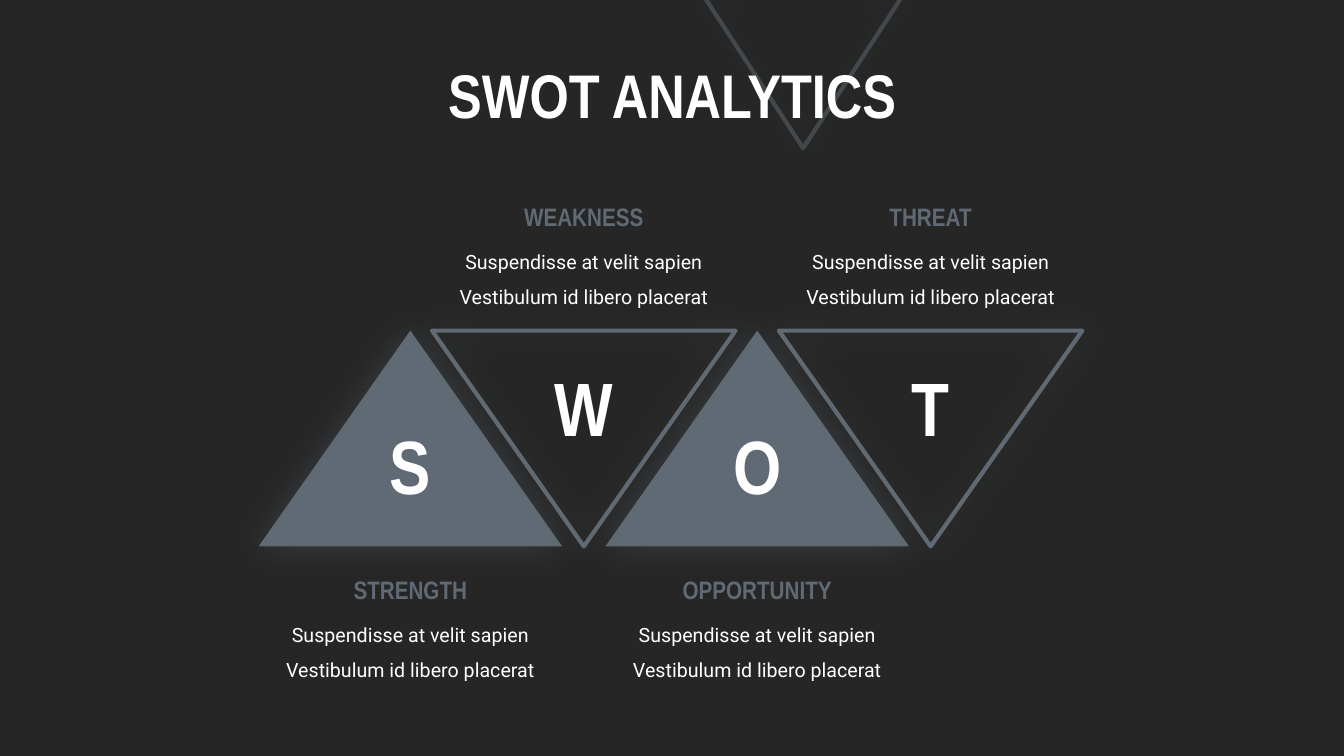
"""Build the SWOT analytics slide with four interlocking triangles."""
from dataclasses import dataclass

from lxml.etree import SubElement
from pptx import Presentation
from pptx.dml.color import RGBColor
from pptx.enum.shapes import MSO_SHAPE
from pptx.enum.text import MSO_ANCHOR, MSO_AUTO_SIZE, PP_ALIGN
from pptx.oxml.ns import qn
from pptx.util import Inches, Pt


@dataclass(frozen=True)
class Theme:
    background: RGBColor = RGBColor(0x26, 0x26, 0x26)
    slate: RGBColor = RGBColor(0x60, 0x6A, 0x74)
    white: RGBColor = RGBColor(0xFF, 0xFF, 0xFF)
    display_font: str = "Arial Narrow"
    body_font: str = "Roboto"
    title_size: int = 44
    letter_size: int = 54
    heading_size: int = 18
    body_size: int = 14
    outline: int = 3


THEME = Theme()


def add_triangle(left, top, width, height, filled):
    triangle = slide.shapes.add_shape(
        MSO_SHAPE.ISOSCELES_TRIANGLE,
        Inches(left), Inches(top), Inches(width), Inches(height))
    if filled:
        triangle.fill.solid()
        triangle.fill.fore_color.rgb = THEME.slate
        triangle.line.fill.background()
    else:
        triangle.rotation = 180
        triangle.fill.background()
        triangle.line.color.rgb = THEME.slate
        triangle.line.width = Pt(THEME.outline)
    triangle.shadow.inherit = False
    effects = triangle._element.spPr.find(qn("a:effectLst"))
    glow = SubElement(effects, qn("a:outerShdw"), blurRad=str(Pt(25)),
                      dist="0", dir="0", algn="ctr", rotWithShape="0")
    glow_color = SubElement(glow, qn("a:srgbClr"), val=str(THEME.slate))
    SubElement(glow_color, qn("a:alpha"), val="35000")
    return triangle


def add_label(text, center, top, width, height, size, color,
              font=THEME.display_font, bold=True, spacing=None):
    label = slide.shapes.add_textbox(
        Inches(center - width / 2), Inches(top), Inches(width), Inches(height))
    frame = label.text_frame
    frame.text = text
    frame.word_wrap = True
    frame.auto_size = MSO_AUTO_SIZE.SHAPE_TO_FIT_TEXT
    paragraph = frame.paragraphs[0]
    paragraph.alignment = PP_ALIGN.CENTER
    paragraph.line_spacing = spacing
    run_font = paragraph.runs[0].font
    run_font.name = font
    run_font.size = Pt(size)
    run_font.bold = bold
    run_font.color.rgb = color


presentation = Presentation()
presentation.slide_width = Inches(13.33)
presentation.slide_height = Inches(7.5)
slide = presentation.slides.add_slide(presentation.slide_layouts[0])
slide.background.fill.solid()
slide.background.fill.fore_color.rgb = THEME.background

subtitle = slide.placeholders[1]._element
subtitle.getparent().remove(subtitle)

title = slide.shapes.title
title.left, title.top = Inches(3.27), Inches(0.49)
title.width, title.height = Inches(6.8), Inches(0.98)
title.text_frame.text = "SWOT ANALYTICS"
title.text_frame.vertical_anchor = MSO_ANCHOR.MIDDLE
title_line = title.text_frame.paragraphs[0]
title_line.alignment = PP_ALIGN.CENTER
title_line.line_spacing = 0.9
title_font = title_line.runs[0].font
title_font.name = THEME.display_font
title_font.size = Pt(THEME.title_size)
title_font.bold = True
title_font.color.rgb = THEME.white

backdrop = add_triangle(6.94, -0.1, 2.05, 1.57, filled=False)
backdrop_color = backdrop._element.spPr.find(qn("a:ln")).find(
    ".//" + qn("a:srgbClr"))
SubElement(backdrop_color, qn("a:alpha"), val="50000")
title._element.addprevious(backdrop._element)

factors = ["STRENGTH", "WEAKNESS", "OPPORTUNITY", "THREAT"]
description = "Suspendisse at velit sapien Vestibulum id libero placerat"
centers = [4.07 + 1.72 * position for position in range(len(factors))]

for position, center in enumerate(centers):
    add_triangle(center - 3.01 / 2, 3.28, 3.01, 2.14, filled=position % 2 == 0)

for position, (factor, center) in enumerate(zip(factors, centers)):
    upright = position % 2 == 0
    letter_top, heading_top = (4.11, 5.65) if upright else (3.53, 1.95)
    add_label(factor[0], center, letter_top, 1.01, 1.01,
              THEME.letter_size, THEME.white)
    add_label(description, center, heading_top + 0.36, 2.98, 0.77,
              THEME.body_size, THEME.white,
              font=THEME.body_font, bold=False, spacing=1.5)
    add_label(factor, center, heading_top, 2.45, 0.4,
              THEME.heading_size, THEME.slate)

presentation.save("out.pptx")
